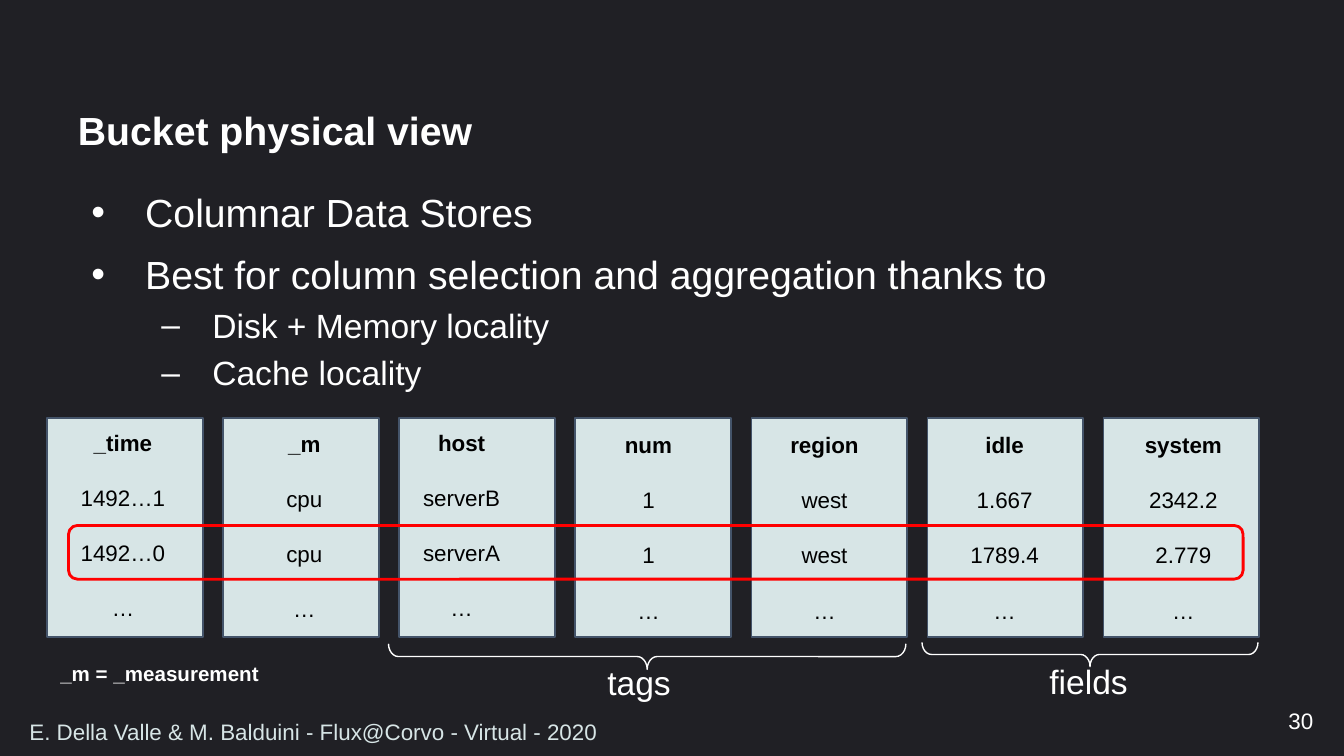
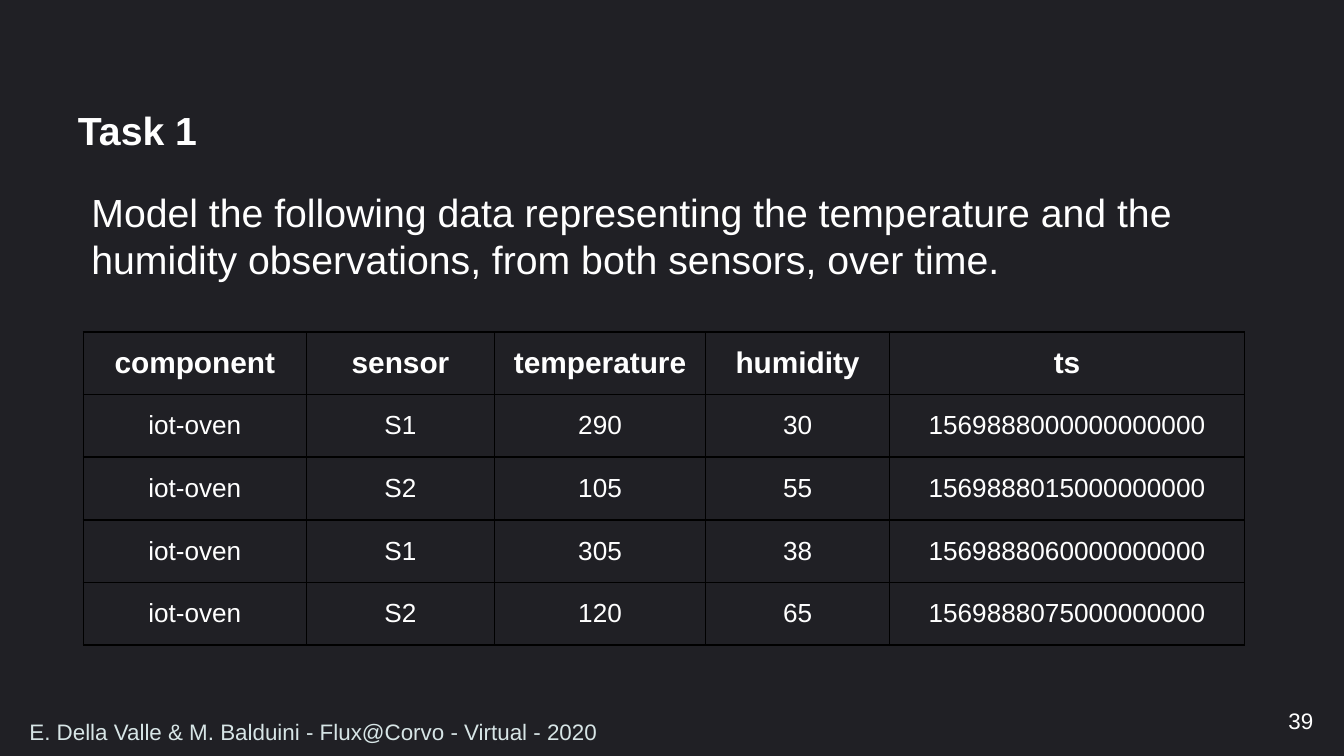
from lxml import etree
from pptx import Presentation
from pptx.dml.color import RGBColor
from pptx.enum.shapes import MSO_SHAPE
from pptx.enum.text import MSO_ANCHOR, MSO_AUTO_SIZE, PP_ALIGN
from pptx.oxml.ns import qn
from pptx.util import Inches, Pt

RECTANGLE = MSO_SHAPE.RECTANGLE
ROUNDED = MSO_SHAPE.ROUNDED_RECTANGLE
BRACE = MSO_SHAPE.RIGHT_BRACE
TOP, MIDDLE = MSO_ANCHOR.TOP, MSO_ANCHOR.MIDDLE
LEFT, CENTER, RIGHT = PP_ALIGN.LEFT, PP_ALIGN.CENTER, PP_ALIGN.RIGHT
FIXED = MSO_AUTO_SIZE.NONE

FONT = "Arial"
COLORS = {
    "background": "202025",
    "text": "FFFFFF",
    "column": "D7E5E6",
    "column_line": "44546A",
    "column_text": "000000",
    "highlight": "FF0000",
    "border": "000000",
}
FOOTER = "E. Della Valle & M. Balduini - Flux@Corvo - Virtual - 2020"

LIST_STYLES = {
    "bullet": (0, "•", 0.5, -0.4, 21, 8),
    "dash": (1, "–", 1, -0.38, 18, 4),
    "plain": (0, None, 0.1, 0, 21, 8),
}

COLUMN_LEFT, COLUMN_TOP, COLUMN_STEP = 0.35, 3.11, 1.31
COLUMN_WIDTH, COLUMN_HEIGHT = 1.16, 1.63
ROW_STEP = 0.41
STORE_COLUMNS = [
    (0.11, 3.09, ["_time", "1492…1", "1492…0", "…"]),
    (0.15, 3.1, ["_m", "cpu", "cpu", "…"]),
    (0.01, 3.09, ["host", "serverB", "serverA", "…"]),
    (0.09, 3.11, ["num", "1", "1", "…"]),
    (0.09, 3.11, ["region", "west", "west", "…"]),
    (0.12, 3.11, ["idle", "1.667", "1789.4", "…"]),
    (0.14, 3.11, ["system", "2342.2", "2.779", "…"]),
]

OBSERVATION_WIDTHS = [1.66, 1.4, 1.57, 1.37, 2.64]
OBSERVATIONS = [
    ["component", "sensor", "temperature", "humidity", "ts"],
    ["iot-oven", "S1", "290", "30", "1569888000000000000"],
    ["iot-oven", "S2", "105", "55", "1569888015000000000"],
    ["iot-oven", "S1", "305", "38", "1569888060000000000"],
    ["iot-oven", "S2", "120", "65", "1569888075000000000"],
]


def rgb(name):
    return RGBColor.from_string(COLORS[name])


def add_run(para, text, size, color="text", bold=False):
    span = para.add_run()
    span.text = text
    span.font.name = FONT
    span.font.size = Pt(size)
    span.font.bold = bold
    span.font.color.rgb = rgb(color)


def add_text(page, text, left, top, width, height, size, color="text", bold=False,
             align=LEFT, anchor=TOP, wrap=True, inset=0.05):
    box = page.shapes.add_textbox(Inches(left), Inches(top), Inches(width), Inches(height))
    frame = box.text_frame
    frame.word_wrap = wrap
    frame.vertical_anchor = anchor
    frame.margin_top = frame.margin_bottom = Inches(inset)
    para = frame.paragraphs[0]
    para.alignment = align
    add_run(para, text, size, color, bold)


def add_outline(page, kind, left, top, width, height, line, line_width, fill=None):
    shape = page.shapes.add_shape(
        kind, Inches(left), Inches(top), Inches(width), Inches(height))
    shape.shadow.inherit = False
    if fill:
        shape.fill.solid()
        shape.fill.fore_color.rgb = rgb(fill)
    else:
        shape.fill.background()
    shape.line.color.rgb = rgb(line)
    shape.line.width = Pt(line_width)
    return shape


def place_placeholder(box, left, top, width, height, anchor):
    box.left, box.top = Inches(left), Inches(top)
    box.width, box.height = Inches(width), Inches(height)
    frame = box.text_frame
    frame.word_wrap = True
    frame.auto_size = FIXED
    frame.vertical_anchor = anchor
    frame.margin_left = frame.margin_right = Inches(0.07)
    frame.margin_top = frame.margin_bottom = Inches(0.04)
    return frame


def set_bullet(para, mark, margin, indent):
    props = para._p.get_or_add_pPr()
    props.set("marL", str(Inches(margin)))
    props.set("indent", str(Inches(indent)))
    if mark is None:
        etree.SubElement(props, qn("a:buNone"))
        return
    bullet_color = etree.SubElement(props, qn("a:buClr"))
    etree.SubElement(bullet_color, qn("a:srgbClr"), val=COLORS["text"])
    etree.SubElement(props, qn("a:buFont"), typeface=FONT)
    etree.SubElement(props, qn("a:buChar"), char=mark)


def fill_body(box, items):
    frame = place_placeholder(box, 0.51, 1.36, 8.98, 3.71, TOP)
    for index, (style, text) in enumerate(items):
        level, mark, margin, indent, size, before = LIST_STYLES[style]
        para = frame.add_paragraph() if index else frame.paragraphs[0]
        set_bullet(para, mark, margin, indent)
        para.level = level
        para.alignment = LEFT
        para.space_before = Pt(before if index else 0)
        add_run(para, text, size)


def add_page(deck, title, items, number):
    page = deck.slides.add_slide(deck.slide_layouts[1])
    frame = place_placeholder(page.shapes.title, 0.51, 0.67, 8.98, 0.64, MIDDLE)
    para = frame.paragraphs[0]
    para.alignment = LEFT
    para.line_spacing = 0.9
    add_run(para, title, 21, bold=True)
    fill_body(page.placeholders[1], items)
    add_text(page, str(number), 7.62, 5.21, 2.25, 0.3, 12, align=RIGHT, anchor=MIDDLE)
    add_text(page, FOOTER, 0.12, 5.3, 7.45, 0.29, 12, "column", anchor=MIDDLE)
    return page


def add_store_columns(page):
    for index, (text_offset, text_top, values) in enumerate(STORE_COLUMNS):
        left = COLUMN_LEFT + index * COLUMN_STEP
        add_outline(page, RECTANGLE, left, COLUMN_TOP, COLUMN_WIDTH, COLUMN_HEIGHT,
                    "column_line", 0.75, "column")
        for row, value in enumerate(values):
            add_text(page, value, left + text_offset, text_top + row * ROW_STEP, 0.91, 0.27,
                     12, "column_text", bold=row == 0, align=CENTER, inset=0.1)


def add_brace(page, left, top, width, height):
    brace = add_outline(page, BRACE, left, top, width, height, "text", 0.75)
    brace.rotation = 90
    brace.adjustments[0] = 0.39


def set_borders(cell):
    props = cell._tc.get_or_add_tcPr()
    for side in ("lnL", "lnR", "lnT", "lnB"):
        line = etree.SubElement(props, qn(f"a:{side}"), w=str(Pt(1)))
        fill = etree.SubElement(line, qn("a:solidFill"))
        etree.SubElement(fill, qn("a:srgbClr"), val=COLORS["border"])


def add_observations(page):
    table = page.shapes.add_table(
        len(OBSERVATIONS), len(OBSERVATION_WIDTHS),
        Inches(0.62), Inches(2.47), Inches(sum(OBSERVATION_WIDTHS)), Inches(2.33)).table
    table.first_row = table.horz_banding = False
    for column, width in zip(table.columns, OBSERVATION_WIDTHS):
        column.width = Inches(width)
    for row, values in enumerate(OBSERVATIONS):
        for col, value in enumerate(values):
            cell = table.cell(row, col)
            set_borders(cell)
            cell.fill.background()
            cell.vertical_anchor = MIDDLE
            para = cell.text_frame.paragraphs[0]
            para.alignment = CENTER
            add_run(para, value, 14 if row else 16, bold=row == 0)


def build_bucket_page(deck):
    page = add_page(deck, "Bucket physical view", [
        ("bullet", "Columnar Data Stores"),
        ("bullet", "Best for column selection and aggregation thanks to"),
        ("dash", "Disk + Memory locality"),
        ("dash", "Cache locality"),
    ], 30)
    add_store_columns(page)
    add_outline(page, ROUNDED, 0.51, 3.91, 8.74, 0.4, "highlight", 1.5)
    add_brace(page, 4.72, 2.96, 0.19, 3.85)
    add_text(page, "tags", 4.42, 4.88, 0.69, 0.4, 18, wrap=False)
    add_brace(page, 8.02, 3.62, 0.18, 2.5)
    add_text(page, "fields", 7.71, 4.87, 0.8, 0.4, 18, wrap=False)
    add_text(page, "_m = _measurement", 0.35, 4.87, 1.69, 0.29, 11, bold=True, wrap=False)


def build_task_page(deck):
    page = add_page(deck, "Task 1", [
        ("plain", "Model the following data representing the temperature and the "
                  "humidity observations, from both sensors, over time."),
    ], 39)
    add_observations(page)


def main():
    deck = Presentation()
    deck.slide_width = Inches(10)
    deck.slide_height = deck.slide_width * 9 // 16
    backdrop = deck.slide_master.background.fill
    backdrop.solid()
    backdrop.fore_color.rgb = rgb("background")
    build_bucket_page(deck)
    build_task_page(deck)
    deck.save("out.pptx")


if __name__ == "__main__":
    main()
